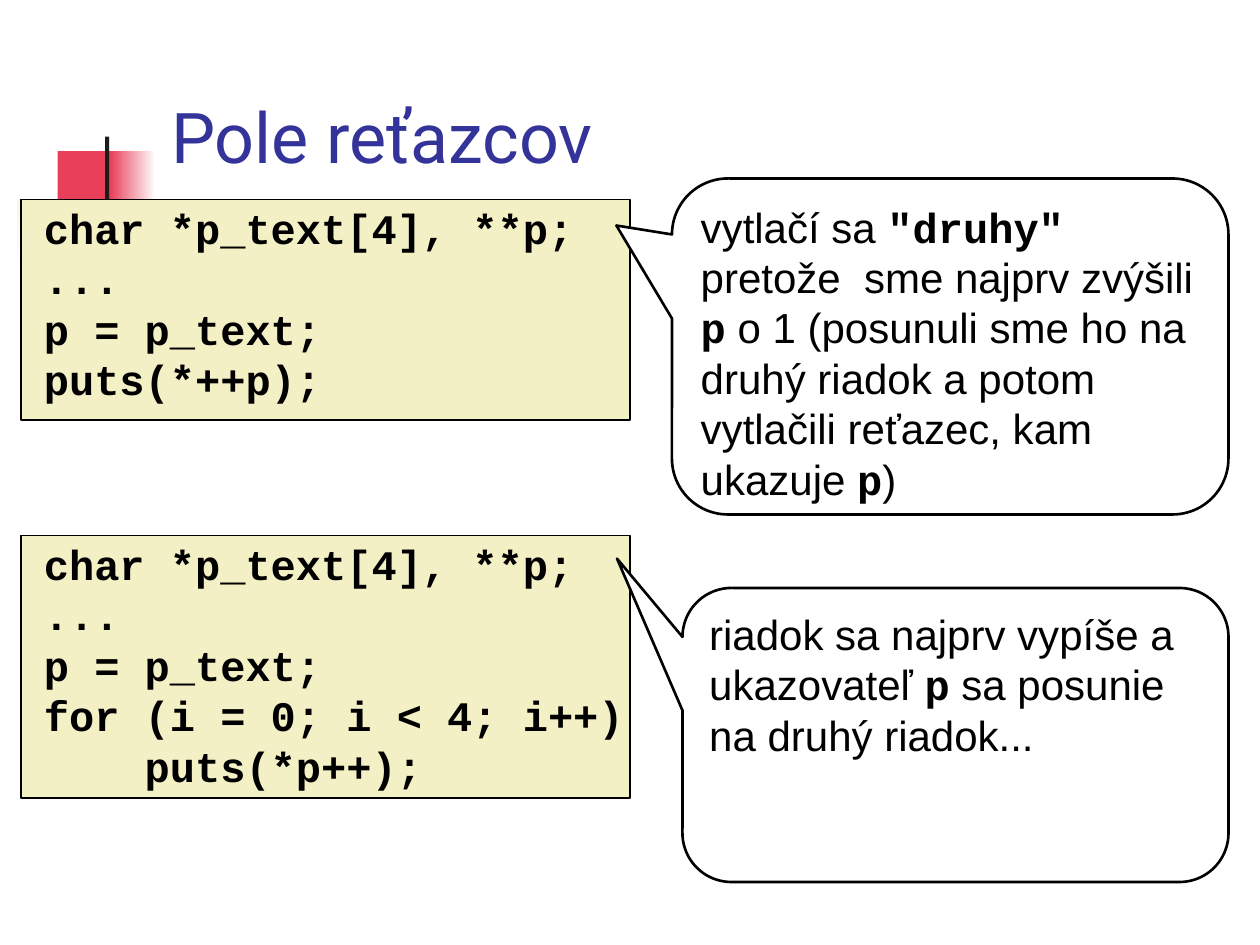
from dataclasses import dataclass
from typing import Any

import pptx
import pptx.dml.color
import pptx.enum.shapes
import pptx.enum.text
import pptx.util

Kind = pptx.enum.shapes.MSO_SHAPE
Side = pptx.enum.text.PP_ALIGN
Edge = pptx.enum.text.MSO_ANCHOR
Fit = pptx.enum.text.MSO_AUTO_SIZE
Pt = pptx.util.Pt

COLS, ROWS = 120, 90
WIDE, HIGH = pptx.util.Inches(10), pptx.util.Inches(7.5)
HUES = {
    "white": "FFFFFF", "black": "000000", "red": "E93F5B",
    "cream": "F4F0C6", "coal": "1C1C1C", "navy": "333399",
}
FONTS = {
    "title": {"name": "Roboto", "size": Pt(40), "bold": False},
    "code": {"name": "Courier New", "size": Pt(24), "bold": True},
    "prose": {"name": "Arial", "size": Pt(24), "bold": False},
}
HEAD = {"word_wrap": True, "auto_size": Fit.NONE, "vertical_anchor": Edge.BOTTOM}
NOTE = {"word_wrap": True, "auto_size": Fit.NONE, "vertical_anchor": Edge.TOP}
CODE = {"word_wrap": False, "auto_size": Fit.SHAPE_TO_FIT_TEXT,
        "vertical_anchor": Edge.TOP}


@dataclass
class Box:
    col: float
    row: float
    cols: float
    rows: float

    def place(self) -> dict[str, int]:
        return {
            "left": round(self.col * WIDE / COLS),
            "top": round(self.row * HIGH / ROWS),
            "width": round(self.cols * WIDE / COLS),
            "height": round(self.rows * HIGH / ROWS),
        }


@dataclass
class Decor:
    box: Box
    hues: tuple[str, ...]
    angle: int = 0


@dataclass
class Panel:
    box: Box
    text: Box
    lines: tuple[str, ...]


@dataclass
class Bubble:
    box: Box
    tip: tuple[float, float]
    runs: tuple[tuple[str, str], ...]


DECORS = (
    Decor(Box(5.5, 14.4, 5.8, 6.2), ("red",)),
    Decor(Box(10.5, 14.4, 4.3, 6.2), ("white", "red"), 180),
    Decor(Box(1.7, 19, 7.3, 5.5), ("cream", "white"), 225),
    Decor(Box(10, 13, 0.4, 13.8), ("coal",)),
    Decor(Box(5.8, 23.4, 108, 0.4), ("white", "coal"), 180),
)
START = ("char *p_text[4], **p;", "...", "p = p_text;")
PANELS = (
    Panel(Box(2, 19, 58, 21), Box(3, 18.7, 52.8, 20.4),
          START + ("puts(*++p);",)),
    Panel(Box(2, 51, 58, 25), Box(3, 50.7, 60, 25.2),
          START + ("for (i = 0; i < 4; i++)", "    puts(*p++);")),
)
BUBBLES = (
    Bubble(Box(64, 17, 53, 32), (-0.6, -0.36), (
        ("prose", "vytlačí sa "), ("code", '"druhy"'),
        ("prose", " pretože  sme najprv zvýšili "), ("code", "p"),
        ("prose", " o 1 (posunuli sme ho na druhý riadok a potom "
                  "vytlačili reťazec, kam ukazuje "),
        ("code", "p"), ("prose", ")"))),
    Bubble(Box(65, 56, 52, 28), (-0.62, -0.6), (
        ("prose", "riadok sa najprv vypíše a ukazovateľ "), ("code", "p"),
        ("prose", " sa posunie na druhý riadok..."))),
)


def shade(name: str) -> pptx.dml.color.RGBColor:
    return pptx.dml.color.RGBColor.from_string(HUES[name])


def apply(item: Any, values: dict[str, Any]) -> None:
    for key, value in values.items():
        setattr(item, key, value)


def write(para: Any, text: str, font: str, hue: str = "black") -> None:
    para.alignment = Side.LEFT
    run = para.add_run()
    run.text = text
    apply(run.font, FONTS[font])
    run.font.color.rgb = shade(hue)


def draw(slide: Any, kind: Any, box: Box, hues: tuple[str, ...],
         angle: int = 0, line: float = 0) -> Any:
    shape = slide.shapes.add_shape(kind, **box.place())
    shape.shadow.inherit = False
    if len(hues) == 1:
        shape.fill.solid()
        shape.fill.fore_color.rgb = shade(hues[0])
    else:
        shape.fill.gradient()
        shape.fill.gradient_angle = angle
        for stop, hue, spot in zip(shape.fill.gradient_stops, hues, (0, 1)):
            stop.color.rgb = shade(hue)
            stop.position = spot
    if line:
        shape.line.color.rgb = shade("black")
        shape.line.width = Pt(line)
    else:
        shape.line.fill.background()
    return shape


def panel(slide: Any, item: Panel) -> None:
    draw(slide, Kind.RECTANGLE, item.box, ("cream",), line=0.75)
    frame = slide.shapes.add_textbox(**item.text.place()).text_frame
    apply(frame, CODE)
    for num, text in enumerate(item.lines):
        para = frame.add_paragraph() if num else frame.paragraphs[0]
        write(para, text, "code")


def bubble(slide: Any, item: Bubble) -> None:
    shape = draw(slide, Kind.ROUNDED_RECTANGULAR_CALLOUT, item.box,
                 ("white",), line=1.5)
    for num, value in enumerate(item.tip):
        shape.adjustments[num] = value
    apply(shape.text_frame, NOTE)
    for font, text in item.runs:
        write(shape.text_frame.paragraphs[0], text, font)


def main() -> None:
    deck = pptx.Presentation()
    apply(deck, {"slide_width": WIDE, "slide_height": HIGH})
    slide = deck.slides.add_slide(deck.slide_layouts[5])
    title = slide.shapes.title
    apply(title, Box(15.1, 8, 102.2, 9.5).place())
    apply(title.text_frame, HEAD)
    write(title.text_frame.paragraphs[0], "Pole reťazcov", "title", "navy")
    for item in DECORS:
        draw(slide, Kind.RECTANGLE, item.box, item.hues, item.angle)
    for item in PANELS:
        panel(slide, item)
    for item in BUBBLES:
        bubble(slide, item)
    deck.save("out.pptx")


if __name__ == "__main__":
    main()
